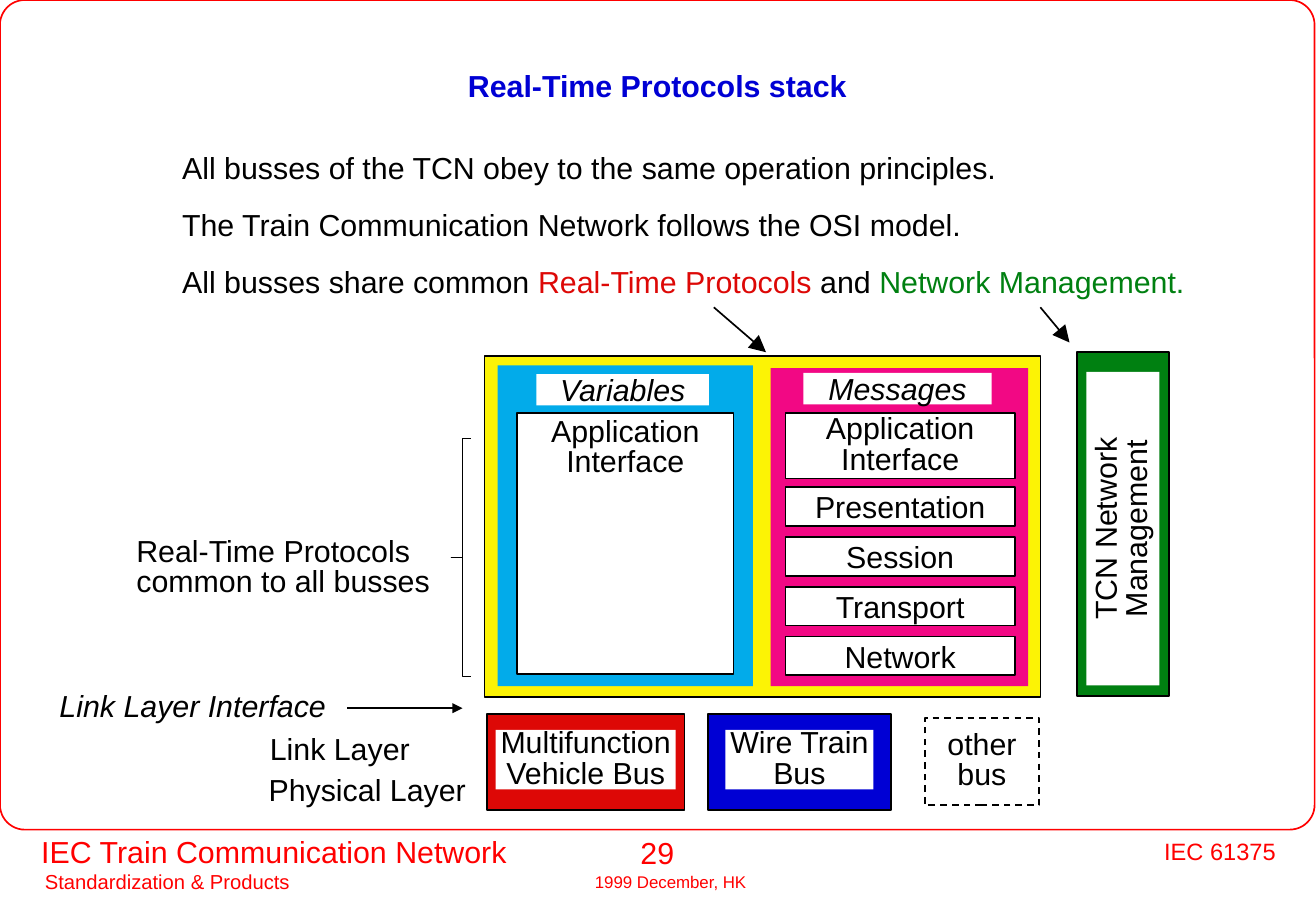
from collections import namedtuple

from lxml.etree import SubElement
from pptx import Presentation
from pptx.dml.color import RGBColor
from pptx.enum.dml import MSO_LINE_DASH_STYLE as Dash
from pptx.enum.shapes import MSO_CONNECTOR, MSO_SHAPE
from pptx.enum.text import MSO_ANCHOR as Anchor, MSO_AUTO_SIZE, PP_ALIGN as Align
from pptx.oxml.ns import qn
from pptx.util import Inches, Pt

Box = namedtuple("Box", "left top width height")

BLACK, WHITE, RED, GREEN, BLUE = "000000", "FFFFFF", "DD0806", "008011", "0000D4"
YELLOW, CYAN, MAGENTA, FRAME_RED = "FCF305", "02ABEA", "F20884", "FF0000"


def color(hex_code):
    return RGBColor.from_string(hex_code)


def part(box, left, top, width, height):
    """Return a box inside another one, given in percent of its size."""
    return Box(box.left + box.width * left / 100, box.top + box.height * top / 100,
               box.width * width / 100, box.height * height / 100)


def emu(box):
    return [Inches(length) for length in box]


def move(shape, box):
    shape.left, shape.top, shape.width, shape.height = emu(box)


def style(span, size, ink, bold=False, italic=False):
    span.font.name, span.font.size = "Arial", Pt(size)
    span.font.bold, span.font.italic = bold, italic
    span.font.color.rgb = color(ink)


def write(frame, text, size=18, ink=BLACK, align=Align.CENTER, italic=False,
          anchor=Anchor.MIDDLE, wrap=False):
    frame.text = text
    frame.word_wrap, frame.vertical_anchor = wrap, anchor
    frame.margin_left = frame.margin_right = 0
    frame.margin_top = frame.margin_bottom = Inches(0.04)
    for para in frame.paragraphs:
        para.alignment = align
        if len(frame.paragraphs) > 1:
            para.line_spacing = Pt(size)
        for span in para.runs:
            style(span, size, ink, italic=italic)


def label(page, text, box, align=Align.LEFT, **options):
    write(page.shapes.add_textbox(*emu(box)).text_frame, text, align=align, wrap=True, **options)


def panel(page, box, fill=WHITE, line=None, text=None, kind=MSO_SHAPE.RECTANGLE, **options):
    shape = page.shapes.add_shape(kind, *emu(box))
    shape.shadow.inherit = False
    if fill:
        shape.fill.solid()
        shape.fill.fore_color.rgb = color(fill)
    else:
        shape.fill.background()
    if line:
        shape.line.color.rgb, shape.line.width = color(line), Pt(1)
    else:
        shape.line.fill.background()
    if text:
        write(shape.text_frame, text, **options)
    return shape


def arrow(page, start, end, head="med"):
    line = page.shapes.add_connector(MSO_CONNECTOR.STRAIGHT, *map(Inches, start + end))
    line.line.color.rgb, line.line.width = color(BLACK), Pt(1)
    SubElement(line.line._get_or_add_ln(), qn("a:tailEnd"), type="triangle", w=head, len=head)
    SubElement(line.element.spPr, qn("a:effectLst"))


def frame_and_footer(page, box):
    frame = panel(page, part(box, 0, 0, 99.9, 91.07), None, FRAME_RED,
                  kind=MSO_SHAPE.ROUNDED_RECTANGLE)
    frame.adjustments[0] = 0.03
    for text, size, align, left, top, width, height in (
            ("IEC Train Communication Network", 18, Align.LEFT, 0.34, 6.81, 4.2, 0.4),
            ("Standardization & Products", 12, Align.LEFT, 0.37, 7.11, 2.4, 0.3),
            ("29", 18, Align.CENTER, 5.08, 6.82, 0.67, 0.4),
            ("1999 December, HK", 10, Align.LEFT, 4.9, 7.13, 1.45, 0.26),
            ("IEC 61375", 14, Align.RIGHT, 9.2, 6.84, 1.31, 0.33)):
        label(page, text, Box(left, top, width, height), align, size=size, ink=FRAME_RED)


def heading(page, box):
    title = page.shapes.title
    move(title, box)
    title.text_frame.text = "Real-Time Protocols stack"
    title.text_frame.vertical_anchor = Anchor.MIDDLE
    para = title.text_frame.paragraphs[0]
    para.alignment, para.line_spacing = Align.CENTER, 0.9
    style(para.runs[0], 18, BLUE, bold=True)


def statements(page, box):
    body = page.placeholders[1]
    move(body, box)
    frame = body.text_frame
    frame.auto_size = MSO_AUTO_SIZE.NONE
    lines = (
        [("All busses of the TCN obey to the same operation principles.", BLACK)],
        [("The Train Communication Network follows the OSI model.", BLACK)],
        [("All busses share common ", BLACK), ("Real-Time Protocols", RED),
         (" and ", BLACK), ("Network Management.", GREEN)])
    for index, line in enumerate(lines):
        para = frame.add_paragraph() if index else frame.paragraphs[0]
        properties = para._p.get_or_add_pPr()
        properties.set("marL", "0")
        properties.set("indent", "0")
        SubElement(properties, qn("a:buNone"))
        para.space_before = Pt(12 if index else 0)
        for text, ink in line:
            span = para.add_run()
            span.text = text
            style(span, 18, ink)


def variables(page, box):
    panel(page, box, CYAN)
    panel(page, part(box, 15.2, 2.7, 67.6, 9.8), text="Variables", italic=True)
    panel(page, part(box, 7.6, 14.8, 84.8, 81.4), line=BLACK,
          text="Application\nInterface", anchor=Anchor.TOP)


def messages(page, box):
    panel(page, box, MAGENTA)
    panel(page, part(box, 12.7, 1.5, 73.1, 9.9), text="Messages", italic=True)
    panel(page, part(box, 5.7, 14.1, 89.2, 20.6), line=BLACK, text="Application\nInterface")
    for row, layer in enumerate(("Presentation", "Session", "Transport", "Network")):
        panel(page, part(box, 5.7, 37.4 + 15.65 * row, 89.2, 12.2), line=BLACK, text=layer)


def protocol_stack(page, box):
    panel(page, box, YELLOW, BLACK)
    variables(page, part(box, 2.4, 2.8, 45.9, 94))
    messages(page, part(box, 51.5, 3.6, 46.3, 93.2))


def network_management(page, box):
    panel(page, box, GREEN, BLACK)
    plate = panel(page, part(box, 10.5, 5.7, 79, 91.2), text="TCN Network\nManagement")
    plate.element.find(".//" + qn("a:bodyPr")).set("vert", "vert270")


def bus(page, box, fill, text, margin):
    panel(page, box, fill, BLACK)
    panel(page, part(box, margin, 16.5, 100 - 2 * margin, 62), text=text)


def busses(page, box):
    bus(page, part(box, 0, 0, 35.8, 100), RED, "Multifunction\nVehicle Bus", 4.5)
    bus(page, part(box, 40, 0, 33.2, 100), BLUE, "Wire Train\nBus", 9.6)
    other = panel(page, part(box, 79.3, 3.8, 20.7, 91.1), WHITE, BLACK, "other\nbus")
    other.line.dash_style = Dash.DASH


def bracket(page, box):
    right, spine = box.left + box.width, box.left + box.width * 0.56
    bottom, middle = box.top + box.height, box.top + box.height / 2
    points = [(right, box.top), (spine, box.top), (spine, middle), (box.left, middle),
              (spine, middle), (spine, bottom), (right, bottom)]
    corners = [(Inches(x), Inches(y)) for x, y in points]
    builder = page.shapes.build_freeform(*corners[0])
    builder.add_line_segments(corners[1:], close=False)
    outline = builder.convert_to_shape()
    outline.shadow.inherit = False
    outline.fill.background()
    outline.line.color.rgb, outline.line.width = color(BLACK), Pt(1)


def layer_names(page, box):
    label(page, "Real-Time Protocols\ncommon to all busses", part(box, 19.2, 0, 80, 22))
    label(page, "Link Layer Interface", part(box, 0, 52, 80, 18), italic=True)
    label(page, "Link Layer", part(box, 52.5, 67.5, 47.5, 18))
    label(page, "Physical Layer", part(box, 52.2, 82.5, 55, 18))


def main():
    deck = Presentation()
    deck.slide_width, deck.slide_height = Inches(10.84), Inches(7.5)
    page = deck.slides.add_slide(deck.slide_layouts[1])
    frame_and_footer(page, Box(0, 0, 10.84, 7.5))
    heading(page, Box(0.18, 0.44, 10.47, 0.56))
    statements(page, Box(1.4, 1.18, 8.8, 1.32))
    protocol_stack(page, Box(3.99, 2.93, 4.58, 2.81))
    network_management(page, Box(8.87, 2.9, 0.76, 2.83))
    busses(page, Box(4.01, 5.88, 4.55, 0.79))
    layer_names(page, Box(0.49, 4.43, 3.3, 2.26))
    bracket(page, Box(3.72, 3.61, 0.16, 1.96))
    arrow(page, (5.88, 2.53), (6.31, 2.9), "lg")
    arrow(page, (8.57, 2.53), (8.81, 2.82), "lg")
    arrow(page, (2.86, 5.83), (3.81, 5.83))
    deck.save("out.pptx")


if __name__ == "__main__":
    main()
